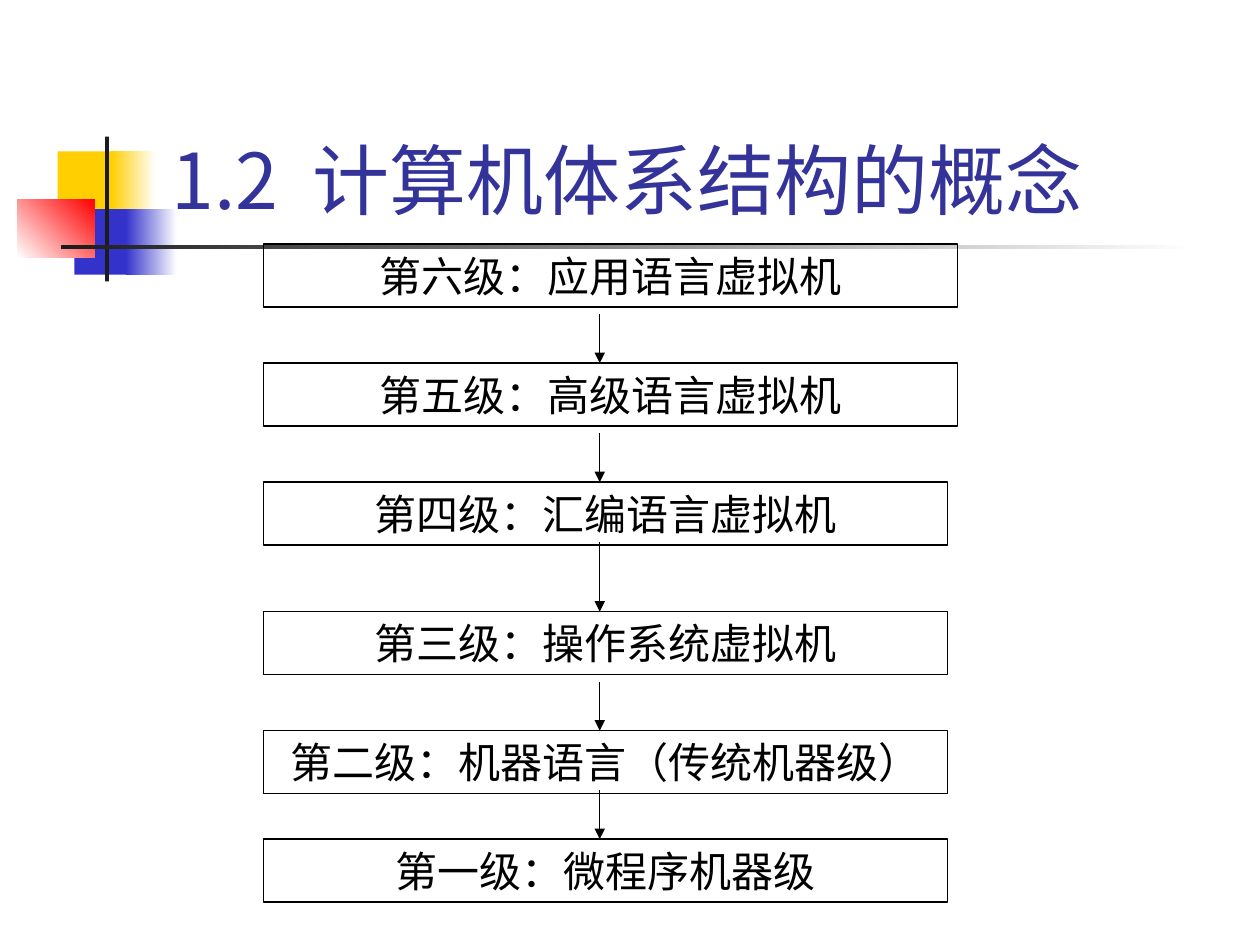
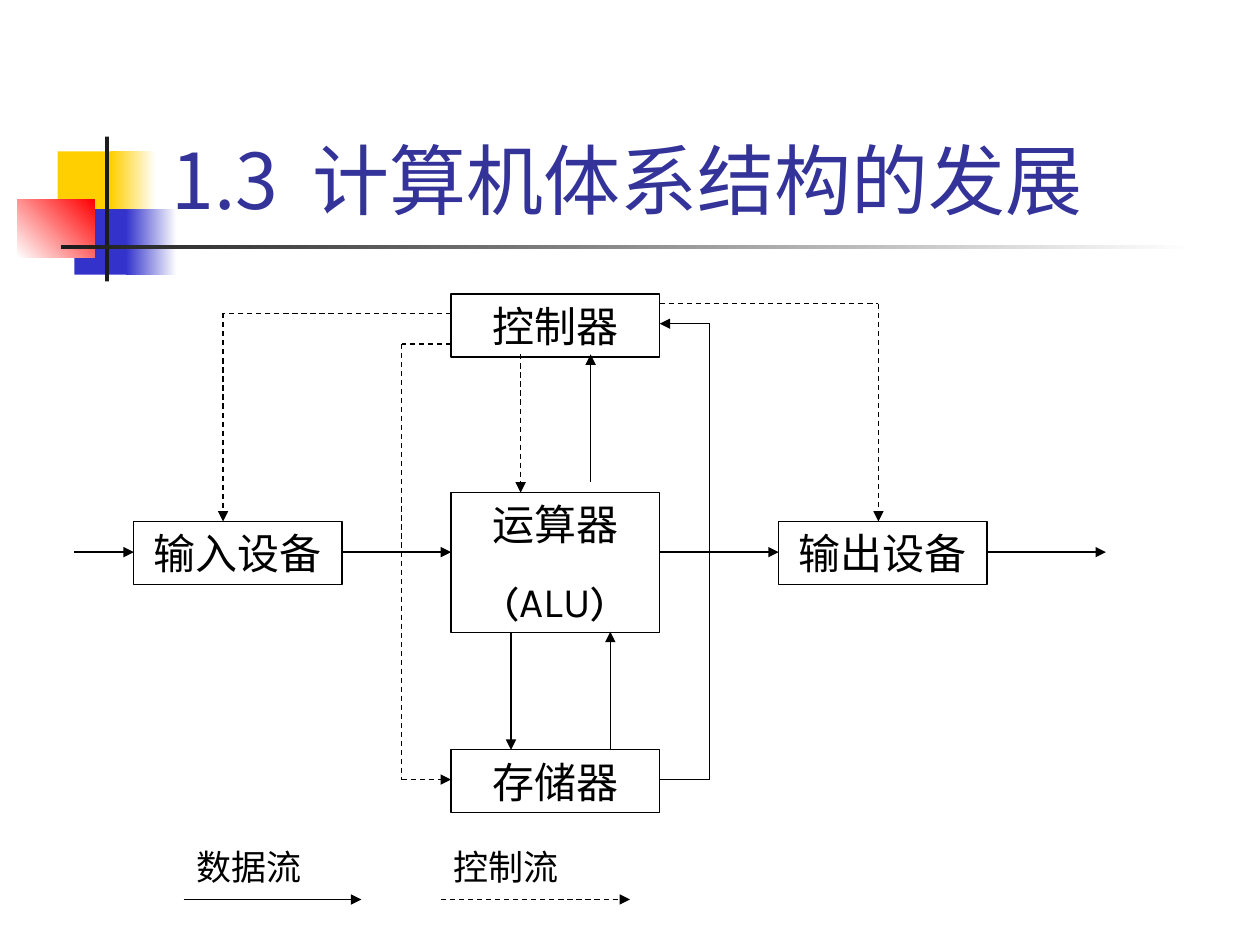
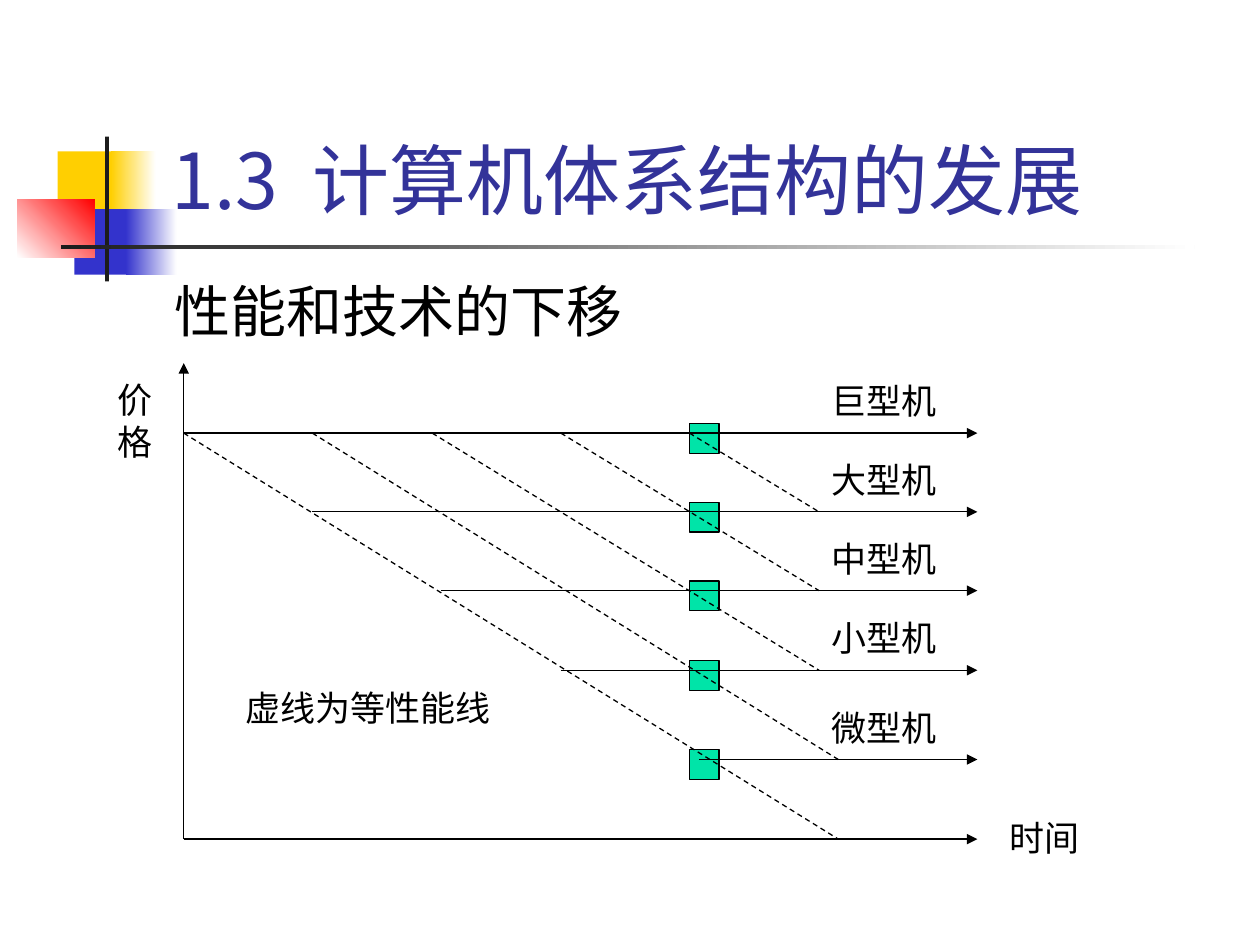
from dataclasses import dataclass
from itertools import pairwise
from typing import Any, NamedTuple

from lxml.etree import SubElement
from pptx import Presentation
from pptx.dml.color import RGBColor
from pptx.enum.dml import MSO_LINE
from pptx.enum.shapes import MSO_CONNECTOR, MSO_SHAPE
from pptx.enum.text import MSO_ANCHOR, MSO_AUTO_SIZE, PP_ALIGN
from pptx.oxml.ns import qn
from pptx.util import Pt


@dataclass(frozen=True)
class Theme:
    title_color: str = "333399"
    ink: str = "000000"
    paper: str = "FFFFFF"
    yellow: str = "FFCF01"
    blue: str = "3333CC"
    red: str = "FF0000"
    rule: str = "1C1C1C"
    marker: str = "00E4A8"
    title_font: str = "Noto Sans CJK SC"
    body_font: str = "Karla"
    title_size: float = 44
    heading_size: float = 32
    box_size: float = 24
    label_size: float = 20
    line_width: float = 0.75
    paragraph_gap: float = 15
    title_gap: float = 9.9


THEME = Theme()


class Area(NamedTuple):
    left: float
    top: float
    width: float
    height: float


class Point(NamedTuple):
    x: float
    y: float


class Block(NamedTuple):
    """A block of the corner ornament; an end colour makes it a gradient."""
    area: Area
    start: str
    end: str | None = None
    angle: float = 0


class Level(NamedTuple):
    name: str
    top: float
    width: float
    arrow_offset: float


class Unit(NamedTuple):
    name: str
    area: Area


class Flow(NamedTuple):
    points: list[tuple[float, float]]
    control: bool = False


class Lane(NamedTuple):
    machine: str
    y: float
    start: float


class IsoLine(NamedTuple):
    start: float
    end: float


TITLE_AREA = Area(90.75, 16.5, 613.5, 115.5)
ORNAMENT = [
    Block(Area(33, 86.5, 34.5, 37.5), THEME.yellow),
    Block(Area(63.5, 86.5, 25.5, 37.5), THEME.yellow, THEME.paper),
    Block(Area(42.5, 119.5, 33, 37.5), THEME.blue),
    Block(Area(72, 119.5, 29, 37.5), THEME.blue, THEME.paper),
    Block(Area(10, 113.75, 44, 33.5), THEME.paper, THEME.red, 45),
    Block(Area(60, 78, 2.25, 82.75), THEME.rule),
    Block(Area(34.75, 140, 648, 2.5), THEME.rule, THEME.paper),
]

BOX_HEIGHT = 36
LEVEL_LEFT = 150.5
LEVEL_ARROW_X = 342.75
LEVELS = [
    Level("第六级：应用语言虚拟机", 139.5, 396.5, 40),
    Level("第五级：高级语言虚拟机", 207.5, 396.5, 40),
    Level("第四级：汇编语言虚拟机", 275.5, 391, 34),
    Level("第三级：操作系统虚拟机", 349.5, 391, 40),
    Level("第二级：机器语言（传统机器级）", 417.5, 391, 34),
    Level("第一级：微程序机器级", 479.5, 391, 0),
]

UNIT_WIDTH = 119
CORE_LEFT, CORE_RIGHT = 257.75, 377
INPUT_LEFT, OUTPUT_LEFT = 76.5, 445
CONTROL_TOP, ALU_TOP, MEMORY_TOP, DEVICE_TOP = 168, 281.5, 428.5, 298
ALU_BOTTOM = 361
DATA_Y, MEMORY_Y = 315.5, 445.5
UNITS = [
    Unit("运算器\n(ALU)", Area(CORE_LEFT, ALU_TOP, UNIT_WIDTH, 80)),
    Unit("控制器", Area(CORE_LEFT, CONTROL_TOP, UNIT_WIDTH, BOX_HEIGHT)),
    Unit("存储器", Area(CORE_LEFT, MEMORY_TOP, UNIT_WIDTH, BOX_HEIGHT)),
    Unit("输入设备", Area(INPUT_LEFT, DEVICE_TOP, UNIT_WIDTH, BOX_HEIGHT)),
    Unit("输出设备", Area(OUTPUT_LEFT, DEVICE_TOP, UNIT_WIDTH, BOX_HEIGHT)),
]
FLOWS = [
    Flow([(42.5, DATA_Y), (INPUT_LEFT, DATA_Y)]),
    Flow([(195.75, DATA_Y), (CORE_LEFT, DATA_Y)]),
    Flow([(CORE_RIGHT, DATA_Y), (OUTPUT_LEFT, DATA_Y)]),
    Flow([(564.25, DATA_Y), (632, DATA_Y)]),
    Flow([(CORE_RIGHT, MEMORY_Y), (405.5, MEMORY_Y), (405.5, 185), (CORE_RIGHT, 185)]),
    Flow([(337.5, 275.5), (337.5, 202.5)]),
    Flow([(348.75, MEMORY_TOP), (348.75, ALU_BOTTOM)]),
    Flow([(292, ALU_BOTTOM), (292, MEMORY_TOP)]),
    Flow([(CORE_LEFT, 196.5), (229.5, 196.5), (229.5, MEMORY_Y), (CORE_LEFT, MEMORY_Y)], True),
    Flow([(CORE_LEFT, 179), (127.5, 179), (127.5, DEVICE_TOP)], True),
    Flow([(CORE_RIGHT, 173.5), (502, 173.5), (502, DEVICE_TOP)], True),
    Flow([(297.5, 202.5), (297.5, ALU_TOP)], True),
    Flow([(105, 514), (206.5, 514)]),
    Flow([(252, 514), (360, 514)], True),
]
LABEL_HEIGHT = 31.5
LEGEND = [
    Unit("数据流", Area(105, 479.5, 96.5, LABEL_HEIGHT)),
    Unit("控制流", Area(252, 479.5, 96.5, LABEL_HEIGHT)),
]

ORIGIN = Point(105, 479.5)
AXIS_TOP, AXIS_RIGHT = 207.5, 558.5
MARKER_LEFT, MARKER_SIDE, MARKER_RISE = 394, 17, 5.5
LANE_LABEL_RISE = 34
LANES = [
    Lane("巨型机", 247.5, 105),
    Lane("大型机", 292.5, 178.5),
    Lane("中型机", 337.5, 252),
    Lane("小型机", 383, 320.5),
    Lane("微型机", 434, 399.5),
]
ISO_LINES = [
    IsoLine(394, 468),
    IsoLine(320.5, 468),
    IsoLine(247, 468),
    IsoLine(178.5, 479),
    IsoLine(105, 479),
]
CHART_LABELS = [
    Unit("价格", Area(60, 213, 45, 55.5)),
    Unit("时间", Area(569.5, 463, 79, LABEL_HEIGHT)),
    Unit("虚线为等性能线", Area(133, 389, 170, LABEL_HEIGHT)),
]


def apply(target: Any, formats: dict[str, Any]) -> None:
    for attribute, value in formats.items():
        setattr(target, attribute, value)


def rgb(code: str) -> RGBColor:
    return RGBColor.from_string(code)


def lengths(area: Area) -> list[int]:
    return [Pt(value) for value in area]


def style_run(run: Any, face: str, size: float, color: str) -> None:
    apply(run.font, {"name": face, "size": Pt(size), "bold": False})
    run.font.color.rgb = rgb(color)
    SubElement(run.font._element, qn("a:ea"), typeface=face)


def write(shape: Any, text: str, size: float, align: PP_ALIGN = PP_ALIGN.LEFT,
          line_spacing: float = 1.0) -> None:
    frame = shape.text_frame
    apply(frame, {"word_wrap": True, "auto_size": MSO_AUTO_SIZE.NONE,
                  "vertical_anchor": MSO_ANCHOR.TOP})
    for index, line in enumerate(text.split("\n")):
        paragraph = frame.add_paragraph() if index else frame.paragraphs[0]
        apply(paragraph, {"alignment": align, "line_spacing": line_spacing,
                          "space_before": Pt(THEME.paragraph_gap if index else 0)})
        run = paragraph.add_run()
        run.text = line
        style_run(run, THEME.body_font, size, THEME.ink)


def add_label(slide: Any, text: str, area: Area, size: float = THEME.label_size,
              line_spacing: float = 1.0) -> None:
    write(slide.shapes.add_textbox(*lengths(area)), text, size, line_spacing=line_spacing)


def add_rectangle(slide: Any, area: Area) -> Any:
    rectangle = slide.shapes.add_shape(MSO_SHAPE.RECTANGLE, *lengths(area))
    rectangle.shadow.inherit = False
    return rectangle


def outline(shape: Any) -> None:
    shape.line.color.rgb = rgb(THEME.ink)
    shape.line.width = Pt(THEME.line_width)


def add_box(slide: Any, text: str, area: Area) -> None:
    box = add_rectangle(slide, area)
    box.fill.background()
    outline(box)
    write(box, text, THEME.box_size, PP_ALIGN.CENTER)


def add_line(slide: Any, start: tuple[float, float], end: tuple[float, float],
             arrow: bool = True, dashed: bool = False) -> None:
    line = slide.shapes.add_connector(
        MSO_CONNECTOR.STRAIGHT, *(Pt(value) for value in (*start, *end)))
    outline(line)
    if dashed:
        line.line.dash_style = MSO_LINE.DASH
    if arrow:
        SubElement(line.line._get_or_add_ln(), qn("a:tailEnd"), type="triangle")
    SubElement(line.element.spPr, qn("a:effectLst"))


def add_flow(slide: Any, flow: Flow) -> None:
    segments = list(pairwise(flow.points))
    for number, (start, end) in enumerate(segments, 1):
        add_line(slide, start, end, number == len(segments), flow.control)


def add_ornament(slide: Any) -> None:
    """Draw the ornament and move it to the layout, behind its placeholders."""
    layout_tree = slide.slide_layout.shapes.element
    for index, block in enumerate(ORNAMENT):
        shape = add_rectangle(slide, block.area)
        shape.line.fill.background()
        if block.end:
            shape.fill.gradient()
            shape.fill.gradient_angle = block.angle
            for stop, color in zip(shape.fill.gradient_stops, (block.start, block.end)):
                stop.color.rgb = rgb(color)
        else:
            shape.fill.solid()
            shape.fill.fore_color.rgb = rgb(block.start)
        shape.element.nvSpPr.cNvPr.id = 101 + index
        layout_tree.insert(2 + index, shape.element)


def add_titled_slide(deck: Any, number: str, heading: str) -> Any:
    slide = deck.slides.add_slide(deck.slide_layouts[5])
    title = slide.shapes.title
    apply(title, dict(zip(Area._fields, lengths(TITLE_AREA))))
    apply(title.text_frame, {"word_wrap": True, "auto_size": MSO_AUTO_SIZE.NONE,
                             "vertical_anchor": MSO_ANCHOR.BOTTOM})
    paragraph = title.text_frame.paragraphs[0]
    paragraph.alignment = PP_ALIGN.LEFT
    for text in (number, " ", heading):
        run = paragraph.add_run()
        run.text = text
        style_run(run, THEME.title_font, THEME.title_size, THEME.title_color)
        if text == " ":
            run.font._element.set("spc", str(round(THEME.title_gap * 100)))
    return slide


def draw_levels(slide: Any) -> None:
    for level in LEVELS:
        add_box(slide, level.name, Area(LEVEL_LEFT, level.top, level.width, BOX_HEIGHT))
    for upper, lower in pairwise(LEVELS):
        add_line(slide, (LEVEL_ARROW_X, upper.top + upper.arrow_offset),
                 (LEVEL_ARROW_X, lower.top))


def draw_machine(slide: Any) -> None:
    for unit in UNITS:
        add_box(slide, unit.name, unit.area)
    for flow in FLOWS:
        add_flow(slide, flow)
    for entry in LEGEND:
        add_label(slide, entry.name, entry.area)


def draw_price_chart(slide: Any) -> None:
    add_label(slide, "性能和技术的下移", Area(92.75, 159, 612, 43.5),
              THEME.heading_size, 0.9)
    add_line(slide, ORIGIN, (ORIGIN.x, AXIS_TOP))
    add_line(slide, ORIGIN, (AXIS_RIGHT, ORIGIN.y))
    for lane in LANES:
        marker = add_rectangle(
            slide, Area(MARKER_LEFT, lane.y - MARKER_RISE, MARKER_SIDE, MARKER_SIDE))
        marker.fill.solid()
        marker.fill.fore_color.rgb = rgb(THEME.marker)
        outline(marker)
        add_line(slide, (lane.start, lane.y), (AXIS_RIGHT, lane.y))
        add_label(slide, lane.machine,
                  Area(468, lane.y - LANE_LABEL_RISE, 85, LABEL_HEIGHT))
    lower_ends = [lane.y for lane in LANES[1:]] + [ORIGIN.y]
    for iso, end_y in zip(ISO_LINES, lower_ends):
        add_line(slide, (iso.start, LANES[0].y), (iso.end, end_y), arrow=False, dashed=True)
    for label in CHART_LABELS:
        add_label(slide, label.name, label.area)


def main() -> None:
    deck = Presentation()
    apply(deck, {"slide_width": Pt(720), "slide_height": Pt(540)})
    levels = add_titled_slide(deck, "1.2", "计算机体系结构的概念")
    add_ornament(levels)
    draw_levels(levels)
    draw_machine(add_titled_slide(deck, "1.3", "计算机体系结构的发展"))
    draw_price_chart(add_titled_slide(deck, "1.3", "计算机体系结构的发展"))
    deck.save("out.pptx")


if __name__ == "__main__":
    main()
